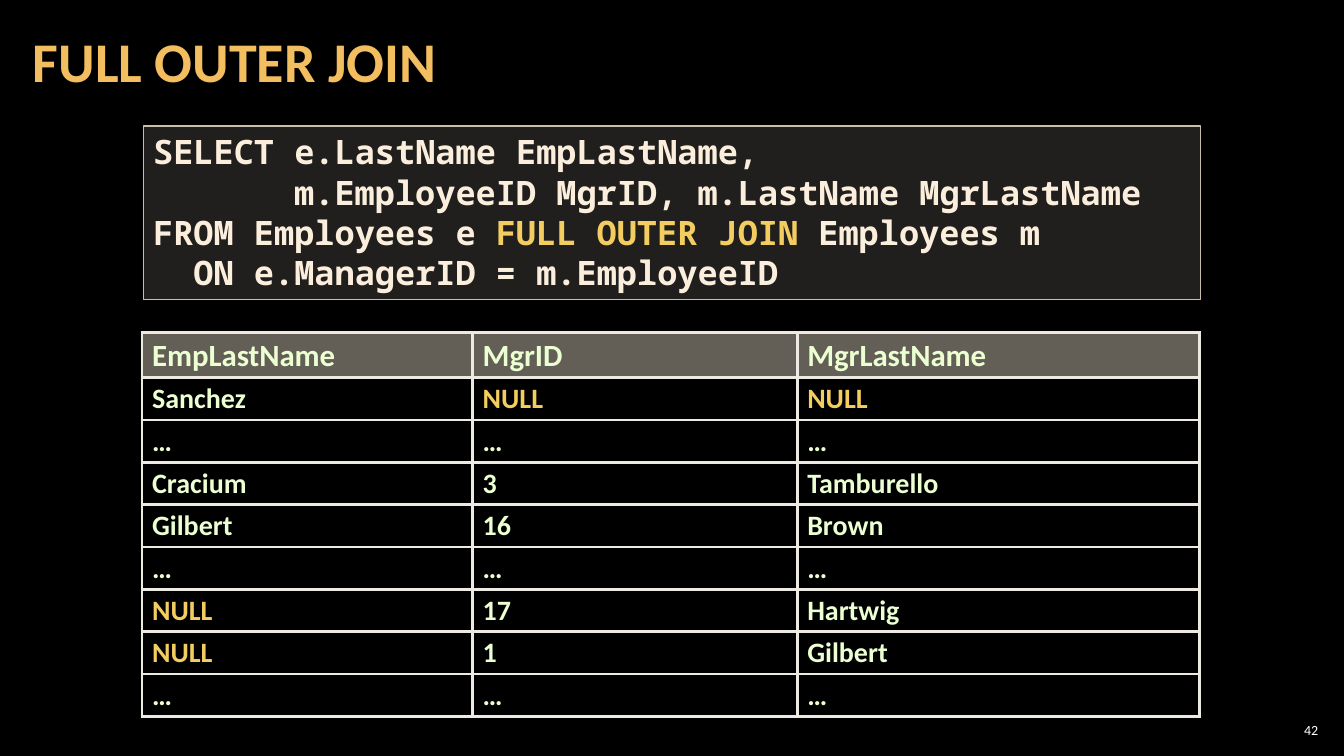
from collections import namedtuple

from lxml import etree
from pptx import Presentation
from pptx.dml.color import RGBColor
from pptx.enum import shapes, text
from pptx.oxml.ns import qn
from pptx.util import Cm, Pt

Box = namedtuple("Box", "left top width height")

CREAM, GOLD, MINT, SAND = "FBEEDC", "F3CD60", "EBFFD2", "C7BFAC"
BODY_FONT, CODE_FONT = "Calibri", "Noto Sans Mono"
CODE_SIZE = 24
CODE_CHARACTER = Pt(CODE_SIZE * 0.6)

# Each line of code: indent in characters, then its (text, colour) parts
CODE_LINES = [
    (0, [("SELECT e.LastName EmpLastName,", CREAM)]),
    (7, [("m.EmployeeID MgrID, m.LastName MgrLastName", CREAM)]),
    (0, [("FROM Employees e ", CREAM), ("FULL OUTER JOIN ", GOLD),
         ("Employees m", CREAM)]),
    (2, [("ON e.ManagerID = m.EmployeeID", CREAM)]),
]
RESULT_ROWS = [
    ("EmpLastName", "MgrID", "MgrLastName"),
    ("Sanchez", "NULL", "NULL"),
    ("…", "…", "…"),
    ("Cracium", "3", "Tamburello"),
    ("Gilbert", "16", "Brown"),
    ("…", "…", "…"),
    ("NULL", "17", "Hartwig"),
    ("NULL", "1", "Gilbert"),
    ("…", "…", "…"),
]
COLUMN_WIDTHS = (8.33, 8.18, 10.13)


def colour(value):
    return RGBColor.from_string(value)


def set_attributes(target, values):
    for name, value in values.items():
        setattr(target, name, value)


def fill_solid(fill, value, opacity=100):
    fill.solid()
    fill.fore_color.rgb = colour(value)
    if opacity < 100:
        # The colour element sits inside the solid fill just made
        element = fill._xPr.find(qn("a:solidFill"))[0]
        etree.SubElement(element, qn("a:alpha")).set("val", str(opacity * 1000))


def add_run(paragraph, wording, value, size, font=BODY_FONT, bold=True):
    run = paragraph.add_run()
    run.text = wording
    set_attributes(run.font, {"name": font, "size": Pt(size), "bold": bold})
    run.font.color.rgb = colour(value)


def add_text_box(slide, box, margin):
    frame = slide.shapes.add_textbox(*map(Cm, box)).text_frame
    set_attributes(frame, {
        "word_wrap": True, "vertical_anchor": text.MSO_ANCHOR.MIDDLE,
        "margin_left": Cm(margin), "margin_right": Cm(margin),
        "margin_top": Cm(0.1), "margin_bottom": Cm(0.1),
    })
    return frame.paragraphs[0]


def add_title(slide, box):
    paragraph = add_text_box(slide, box, 0.3)
    paragraph.line_spacing = 0.9
    add_run(paragraph, "FULL OUTER JOIN", "F3BE60", 40)


def add_page_number(slide, box):
    paragraph = add_text_box(slide, box, 0.1)
    paragraph.alignment = text.PP_ALIGN.RIGHT
    add_run(paragraph, "42", "FFFFFF", 10, bold=False)


def add_code(slide, box):
    panel = slide.shapes.add_shape(shapes.MSO_SHAPE.RECTANGLE, *map(Cm, box))
    panel.shadow.inherit = False
    fill_solid(panel.fill, "D9D5C7", 15)
    panel.line.color.rgb = colour(SAND)
    panel.line.width = Pt(1)
    frame = panel.text_frame
    set_attributes(frame, {"word_wrap": True,
                           "vertical_anchor": text.MSO_ANCHOR.TOP})
    for number, (indent, parts) in enumerate(CODE_LINES):
        paragraph = frame.add_paragraph() if number else frame.paragraphs[0]
        paragraph.alignment = text.PP_ALIGN.LEFT
        properties = paragraph._p.get_or_add_pPr()
        properties.set("marL", str(int(indent * CODE_CHARACTER)))
        properties.set("indent", "0")
        for wording, value in parts:
            add_run(paragraph, wording, value, CODE_SIZE, CODE_FONT)


def add_borders(cell):
    properties = cell._tc.get_or_add_tcPr()
    for position, side in enumerate(("lnL", "lnR", "lnT", "lnB")):
        line = etree.Element(qn(f"a:{side}"), w=str(Pt(2.25)))
        solid = etree.SubElement(line, qn("a:solidFill"))
        etree.SubElement(solid, qn("a:srgbClr"), val="ECEAE3")
        properties.insert(position, line)


def add_results(slide, box):
    frame = slide.shapes.add_table(len(RESULT_ROWS), len(COLUMN_WIDTHS),
                                   *map(Cm, box))
    table = frame.table
    set_attributes(table, {"first_row": False, "horz_banding": False})
    for column, width in zip(table.columns, COLUMN_WIDTHS):
        column.width = Cm(width)
    for row_number, values in enumerate(RESULT_ROWS):
        is_header = row_number == 0
        for column_number, value in enumerate(values):
            cell = table.cell(row_number, column_number)
            if is_header:
                fill_solid(cell.fill, SAND, 50)
            else:
                cell.fill.background()
            add_borders(cell)
            paragraph = cell.text_frame.paragraphs[0]
            paragraph.line_spacing = 0.95
            add_run(paragraph, value, GOLD if value == "NULL" else MINT,
                    22 if is_header else 20)


def main():
    presentation = Presentation()
    set_attributes(presentation, {"slide_width": Cm(33.87),
                                  "slide_height": Cm(19.05)})
    slide = presentation.slides.add_slide(presentation.slide_layouts[6])
    fill_solid(slide.background.fill, "000000")

    add_title(slide, Box(0.53, 0.1, 26.6, 3.07))
    add_code(slide, Box(3.61, 3.18, 26.64, 4.37))
    add_results(slide, Box(3.58, 8.38, sum(COLUMN_WIDTHS), 9.6))
    add_page_number(slide, Box(32.13, 18.14, 1.19, 0.53))
    presentation.save("out.pptx")


if __name__ == "__main__":
    main()
